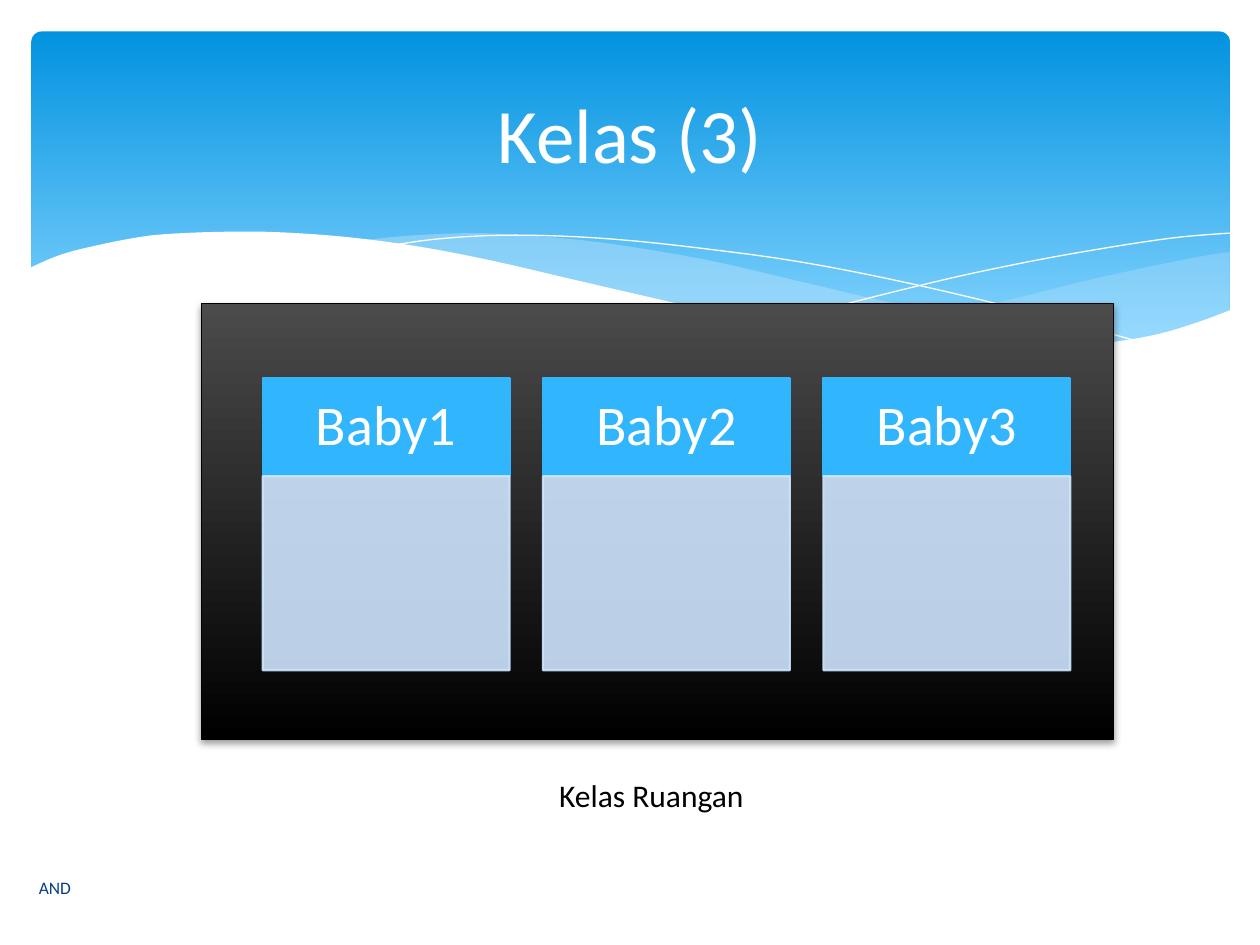
import dataclasses

import lxml.etree
import pptx
import pptx.dml.color
import pptx.enum.shapes
import pptx.enum.text
import pptx.oxml.ns
import pptx.util

COLUMNS, ROWS = 100, 75
CELL = pptx.util.Inches(10) / COLUMNS
CENTER = pptx.enum.text.PP_ALIGN.CENTER
MIDDLE = pptx.enum.text.MSO_ANCHOR.MIDDLE
SHAPES = pptx.enum.shapes.MSO_SHAPE


@dataclasses.dataclass(frozen=True)
class Theme:
    font: str = "Calibri"
    white: str = "FFFFFF"
    black: str = "000000"
    navy: str = "073E87"
    sky_top: str = "0293E0"
    sky_bottom: str = "83D3FE"
    mist: str = "C6E7FC"
    room_top: str = "4B4B4B"
    card_head: str = "31B6FD"
    card_body: str = "CEE5FE"
    title_size: int = 44
    head_size: int = 32
    caption_size: int = 18
    footer_size: int = 10


THEME = Theme()

# Curves are knots in grid cells; each wave is bounded by two of them.
RIGHT_WAVE_TOP = [(97.6, 20), (96.2, 20.2), (93.5, 20.7), (90.6, 21.3), (86.1, 22.3),
                  (80.5, 23.7), (75.3, 24.8), (70.6, 25.7), (66.1, 26.5)]
RIGHT_WAVE_BOTTOM = [(66.1, 26.5), (69.1, 26.9), (73.2, 27.4), (78.1, 27.7), (82.4, 27.7),
                     (86.3, 27.5), (89.7, 27), (93.5, 26.2), (97.6, 24.7)]
LEFT_WAVE_TOP = [(89.3, 27.3), (83.7, 26.5), (77.5, 25.4), (70.6, 24), (62.9, 22.2),
                 (56.9, 20.8), (51.4, 19.8), (46.5, 19.1), (42, 18.7), (38, 18.5),
                 (34.4, 18.6), (31.3, 18.8), (28.6, 19.1)]
LEFT_WAVE_BOTTOM = [(28.6, 19.1), (34.2, 19.9), (40.4, 21.1), (44.9, 22.2), (53, 24),
                    (60.1, 25.5), (66.5, 26.6), (72.2, 27.4), (77.3, 27.7), (81.8, 27.8),
                    (85.7, 27.7), (89.3, 27.3)]
FALLING_LINE = [(30.9, 19.5), (34.4, 19), (38.7, 18.7), (43.3, 18.7), (48.9, 19),
                (55.6, 19.7), (63.6, 20.8), (72.7, 22.6), (83.1, 25.1), (90.7, 27.2)]
RISING_LINE = [(61.3, 25.7), (65.3, 24.6), (72, 22.9), (77.6, 21.6), (83.6, 20.4),
               (89.5, 19.4), (93.8, 18.8), (97.6, 18.5)]
PAGE_EDGE = [(97.7, 24.6), (95, 25.6), (92, 26.5), (88.7, 27.1), (85, 27.5), (80.9, 27.7),
             (76.1, 27.5), (70.8, 27), (64.8, 26.2), (57.9, 25), (50.3, 23.3), (44.7, 22),
             (39.1, 20.7), (34, 19.7), (29.2, 19), (25, 18.6), (21.1, 18.4), (17.7, 18.4),
             (14.6, 18.5), (11.9, 18.7), (9.5, 19.1), (7.6, 19.5), (5.9, 19.9), (4.6, 20.3),
             (3.6, 20.7), (2.3, 21.3)]
PAGE_BOTTOM = [(2.3, 32.9), (97.7, 32.9)]


def cells(*amounts):
    return [pptx.util.Emu(round(amount * CELL)) for amount in amounts]


def rgb(color):
    return pptx.dml.color.RGBColor.from_string(color)


def apply_format(target, values):
    for name, value in values.items():
        setattr(target, name, value)


def set_alpha(fill_parent, share):
    """Make the solid fill below an XML element partly opaque."""
    color = fill_parent.find(pptx.oxml.ns.qn("a:solidFill"))[0]
    lxml.etree.SubElement(color, pptx.oxml.ns.qn("a:alpha"), val=str(round(share * 100000)))


def paint(shape, color, alpha=1):
    shape.fill.solid()
    shape.fill.fore_color.rgb = rgb(color)
    if alpha < 1:
        set_alpha(shape.element.spPr, alpha)


def paint_gradient(shape, first, last, end=1):
    """Shade a shape from top to bottom, reaching the last colour at end."""
    shape.fill.gradient()
    shape.fill.gradient_angle = 270
    for stop, color, position in zip(shape.fill.gradient_stops, (first, last), (0, end)):
        apply_format(stop, {"position": position})
        stop.color.rgb = rgb(color)


def outline(shape, color, width, alpha=1):
    shape.line.width = pptx.util.Pt(width)
    shape.line.color.rgb = rgb(color)
    if alpha < 1:
        set_alpha(shape.element.spPr.find(pptx.oxml.ns.qn("a:ln")), alpha)


def cast_shadow(shape, color, alpha, blur, distance):
    shape.shadow.inherit = False
    effects = shape.element.spPr.find(pptx.oxml.ns.qn("a:effectLst"))
    shadow = lxml.etree.SubElement(
        effects, pptx.oxml.ns.qn("a:outerShdw"), blurRad=str(pptx.util.Pt(blur)),
        dist=str(pptx.util.Pt(distance)), dir="5400000", rotWithShape="0")
    tint = lxml.etree.SubElement(shadow, pptx.oxml.ns.qn("a:srgbClr"), val=color)
    lxml.etree.SubElement(tint, pptx.oxml.ns.qn("a:alpha"), val=str(round(alpha * 100000)))


def add_box(page, place, kind=SHAPES.RECTANGLE):
    box = page.shapes.add_shape(kind, *cells(*place))
    box.shadow.inherit = False
    box.line.fill.background()
    return box


def write(shape, text, size, color, para_format=None, **frame_format):
    frame = shape.text_frame
    apply_format(frame, {"word_wrap": True, **frame_format})
    para = frame.paragraphs[0]
    apply_format(para, para_format or {})
    span = para.add_run()
    span.text = text
    apply_format(span.font, {"name": THEME.font, "size": pptx.util.Pt(size)})
    span.font.color.rgb = rgb(color)


def smooth(knots, steps=4):
    """Return points on a Catmull-Rom curve through the knots."""
    padded = [knots[0], *knots, knots[-1]]
    points = [knots[0]]
    for a, b, c, d in zip(padded, padded[1:], padded[2:], padded[3:]):
        for step in range(1, steps + 1):
            t = step / steps
            points.append(tuple(
                (2 * q + (r - p) * t + (2 * p - 5 * q + 4 * r - s) * t ** 2
                 + (3 * q - p - 3 * r + s) * t ** 3) / 2
                for p, q, r, s in zip(a, b, c, d)))
    return points


def add_outline(page, points, close):
    start, *rest = [cells(*point) for point in points]
    builder = page.shapes.build_freeform(*start)
    builder.add_line_segments(rest, close=close)
    shape = builder.convert_to_shape()
    shape.shadow.inherit = False
    return shape


def add_wave(page, points, color, alpha=1):
    wave = add_outline(page, points, close=True)
    paint(wave, color, alpha)
    wave.line.fill.background()


def add_curve(page, knots):
    curve = add_outline(page, smooth(knots), close=False)
    curve.fill.background()
    outline(curve, THEME.white, 0)


def add_backdrop(page):
    band = add_box(page, (2.5, 2.5, 95.1, 27), SHAPES.ROUNDED_RECTANGLE)
    band.adjustments[0] = 0.03
    paint_gradient(band, THEME.sky_top, THEME.sky_bottom, 0.9)
    add_wave(page, smooth(RIGHT_WAVE_TOP) + smooth(RIGHT_WAVE_BOTTOM), THEME.mist, 0.29)
    add_wave(page, smooth(LEFT_WAVE_TOP) + smooth(LEFT_WAVE_BOTTOM), THEME.mist, 0.4)
    add_curve(page, FALLING_LINE)
    add_curve(page, RISING_LINE)
    add_wave(page, smooth(PAGE_EDGE) + PAGE_BOTTOM, THEME.white)


def add_room(page):
    room = add_box(page, (16, 24.1, 72.4, 34.6))
    paint_gradient(room, THEME.room_top, THEME.black)
    outline(room, THEME.black, 0.75)
    cast_shadow(room, THEME.black, 0.38, blur=4, distance=2)


def add_card(page, column, label):
    left, top, width, head_height = 20.85 + 22.25 * column, 30, 19.6, 7.8
    head = add_box(page, (left, top, width, head_height))
    paint(head, THEME.card_head)
    outline(head, THEME.card_head, 1.25)
    write(head, label, THEME.head_size, THEME.white,
          {"alignment": CENTER, "line_spacing": 0.9}, vertical_anchor=MIDDLE)
    body = add_box(page, (left, top + head_height, width, 15.4))
    paint(body, THEME.card_body, 0.9)
    outline(body, THEME.card_body, 1.25, 0.9)


def add_text(page, place, text, size, color, **frame_format):
    box = page.shapes.add_textbox(*cells(*place))
    write(box, text, size, color, **frame_format)


def add_title(page, text):
    title = page.shapes.title
    apply_format(title, dict(zip(("left", "top", "width", "height"), cells(5, 3.7, 90, 13.7))))
    write(title, text, THEME.title_size, THEME.white, {"alignment": CENTER},
          vertical_anchor=MIDDLE)
    page.shapes.element.append(title.element)  # in front of the backdrop


def main():
    deck = pptx.Presentation()
    apply_format(deck, {"slide_width": round(COLUMNS * CELL), "slide_height": round(ROWS * CELL)})
    page = deck.slides.add_slide(deck.slide_layouts.get_by_name("Title Only"))
    add_backdrop(page)
    add_room(page)
    for column, label in enumerate(("Baby1", "Baby2", "Baby3")):
        add_card(page, column, label)
    add_text(page, (2.1, 68.4, 41.4, 4), "AND", THEME.footer_size, THEME.navy,
             vertical_anchor=MIDDLE)
    add_title(page, "Kelas (3)")
    add_text(page, (43.4, 61.1, 17.7, 4), "Kelas Ruangan", THEME.caption_size, THEME.black,
             word_wrap=False, auto_size=pptx.enum.text.MSO_AUTO_SIZE.SHAPE_TO_FIT_TEXT)
    deck.save("out.pptx")


if __name__ == "__main__":
    main()
